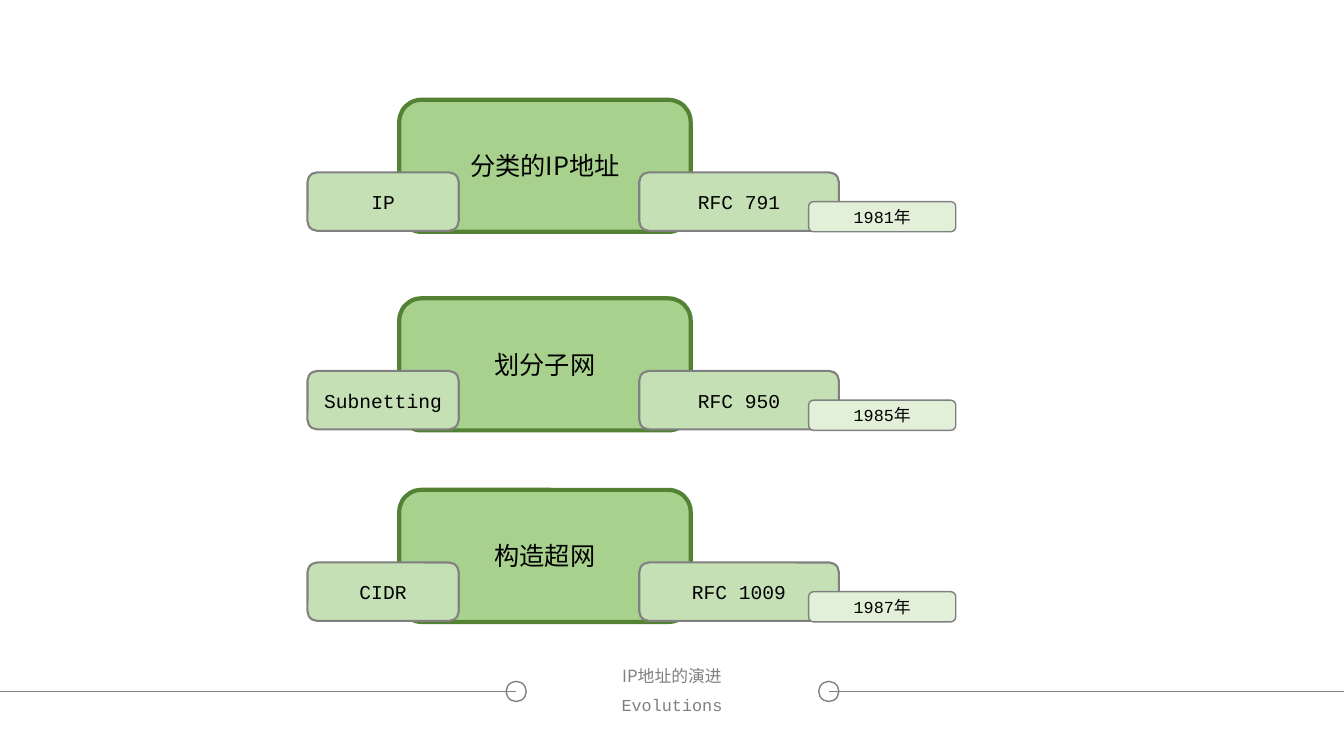
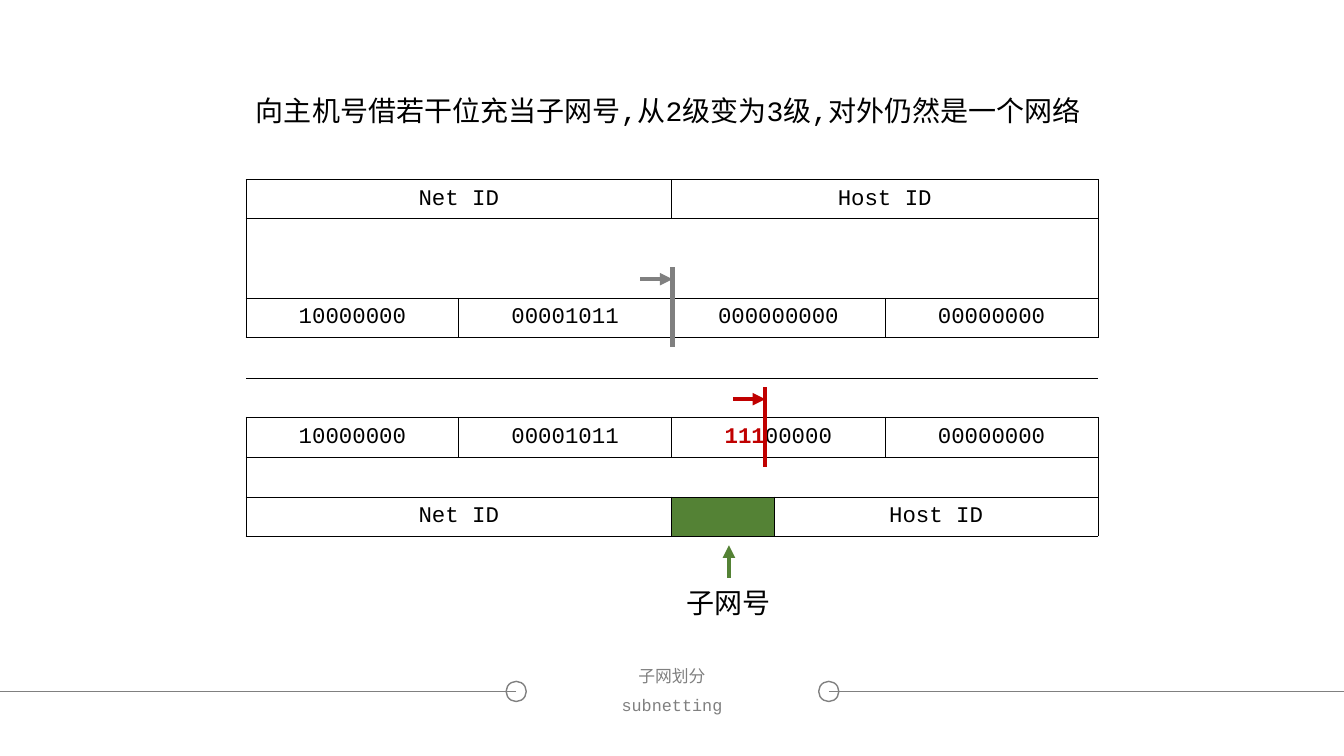
from lxml import etree
from pptx import Presentation
from pptx.dml.color import RGBColor
from pptx.enum import shapes, text
from pptx.oxml import ns
from pptx.util import Pt

PX = 9144
BLACK = RGBColor(0x00, 0x00, 0x00)
GRAY = RGBColor(0x80, 0x80, 0x80)
RED = RGBColor(0xC0, 0x00, 0x00)
GREEN_DARK = RGBColor(0x54, 0x82, 0x35)
GREEN = RGBColor(0xA9, 0xD1, 0x8E)
GREEN_LIGHT = RGBColor(0xC5, 0xE0, 0xB4)
GREEN_PALE = RGBColor(0xE2, 0xF0, 0xD9)
MONO = "Courier New"
SANS = "Noto Sans CJK SC"
PLAIN_TABLE = "{2D5ABB26-0587-4C30-8999-92F81FD0307C}"


def write(frame, words, size=16, font=MONO, color=BLACK, bold=False,
          align=text.PP_ALIGN.CENTER, anchor=text.MSO_ANCHOR.MIDDLE):
    frame.vertical_anchor = anchor
    frame.word_wrap = True
    para = frame.paragraphs[0]
    para.alignment = align
    span = para.add_run()
    span.text = words
    span.font.size = Pt(size)
    span.font.bold = bold
    span.font.color.rgb = color
    span.font.name = font
    east = etree.SubElement(span.font._element, ns.qn("a:ea"))
    east.set("typeface", SANS)


def draw_line(page, ends, color, width, arrow=False):
    line = page.shapes.add_connector(
        shapes.MSO_CONNECTOR.STRAIGHT, *[end * PX for end in ends])
    line.line.color.rgb = color
    line.line.width = Pt(width)
    if arrow:
        head = etree.SubElement(line.line._get_or_add_ln(), ns.qn("a:tailEnd"))
        head.set("type", "triangle")
    etree.SubElement(line._element.spPr, ns.qn("a:effectLst"))


deck = Presentation()
deck.slide_width = 1333 * PX
deck.slide_height = 750 * PX

captions = [("IP地址的演进", "Evolutions"), ("子网划分", "subnetting")]
pages = []
for chinese, english in captions:
    page = deck.slides.add_slide(deck.slide_layouts[5])
    pages.append(page)
    for center, edge in ((822, 1333), (512, 0)):
        ring = page.shapes.add_shape(
            shapes.MSO_SHAPE.OVAL, (center - 10) * PX, 676 * PX, 20 * PX, 20 * PX)
        ring.shadow.inherit = False
        ring.fill.background()
        ring.line.color.rgb = GRAY
        ring.line.width = Pt(1)
        draw_line(page, (center, 686, edge, 686), GRAY, 0.5)

    title = page.shapes.title
    title.left, title.top, title.width, title.height = (
        521 * PX, 658 * PX, 291 * PX, 28 * PX)
    subtitle = page.shapes.add_textbox(521 * PX, 687 * PX, 291 * PX, 27 * PX)
    for box, words, font in ((title, chinese, SANS), (subtitle, english, MONO)):
        frame = box.text_frame
        frame.auto_size = text.MSO_AUTO_SIZE.NONE
        frame.margin_left = frame.margin_right = 0
        frame.margin_top = frame.margin_bottom = 4 * PX
        write(frame, words, size=12, font=font, color=GRAY)
        frame.paragraphs[0].line_spacing = 0.9

evolution, subnetting = pages

stages = [
    (99, "分类的IP地址", "RFC 791", "1981年", "IP"),
    (296, "划分子网", "RFC 950", "1985年", "Subnetting"),
    (486, "构造超网", "RFC 1009", "1987年", "CIDR"),
]
panels = [
    (396, 0, 289, 131, GREEN, GREEN_DARK, 3, 18, SANS),
    (634, 72, 198, 58, GREEN_LIGHT, GRAY, 1.5, 14, MONO),
    (802, 101, 146, 30, GREEN_PALE, GRAY, 1, 12, MONO),
    (305, 72, 150, 58, GREEN_LIGHT, GRAY, 1.5, 14, MONO),
]
for top, *labels in stages:
    for label, panel in zip(labels, panels):
        left, drop, width, height, fill, outline, weight, size, font = panel
        box = evolution.shapes.add_shape(
            shapes.MSO_SHAPE.ROUNDED_RECTANGLE,
            left * PX, (top + drop) * PX, width * PX, height * PX)
        box.shadow.inherit = False
        box.fill.solid()
        box.fill.fore_color.rgb = fill
        box.line.color.rgb = outline
        box.line.width = Pt(weight)
        write(box.text_frame, label, size=size, font=font)

lead = subnetting.shapes.add_textbox(244 * PX, 88 * PX, 845 * PX, 44 * PX)
write(lead.text_frame, "向主机号借若干位充当子网号,从2级变为3级,对外仍然是一个网络",
      size=20, align=text.PP_ALIGN.LEFT, anchor=text.MSO_ANCHOR.TOP)

column_widths = [211, 211, 102, 110, 211]
row_heights = [39, 79, 39, 40, 39, 40, 39, 39]
table = subnetting.shapes.add_table(
    len(row_heights), len(column_widths), 244 * PX, 178 * PX,
    sum(column_widths) * PX, sum(row_heights) * PX).table
table.first_row = table.horz_banding = False
table._tbl.tblPr.find(ns.qn("a:tableStyleId")).text = PLAIN_TABLE
for column, width in zip(table.columns, column_widths):
    column.width = width * PX
for row, height in zip(table.rows, row_heights):
    row.height = height * PX

gap_sides = {3: ["lnT"], 4: ["lnB"]}
for row in range(len(row_heights)):
    for column in range(len(column_widths)):
        cell = table.cell(row, column)
        cell.margin_top = cell.margin_bottom = 0
        properties = cell._tc.get_or_add_tcPr()
        for side in gap_sides.get(row, ["lnL", "lnR", "lnT", "lnB"]):
            border = etree.SubElement(properties, ns.qn("a:" + side), w=str(Pt(0.5)))
            fill = etree.SubElement(border, ns.qn("a:solidFill"))
            etree.SubElement(fill, ns.qn("a:srgbClr"), val=str(BLACK))
        cell.fill.background()

bytes_spans = [(0, 0), (1, 1), (2, 3), (4, 4)]
row_spans = [
    [(0, 1), (2, 4)], [(0, 4)], bytes_spans, bytes_spans,
    bytes_spans, bytes_spans, [(0, 4)], [(0, 1), (2, 2), (3, 4)],
]
row_words = {
    0: ["Net ID", "Host ID"],
    2: ["10000000", "00001011", "000000000", "00000000"],
    5: ["10000000", "00001011", "", "00000000"],
    7: ["Net ID", "", "Host ID"],
}
for row, spans in enumerate(row_spans):
    for first, last in spans:
        if last > first:
            table.cell(row, first).merge(table.cell(row, last))
    for (first, last), words in zip(spans, row_words.get(row, [])):
        if words:
            cell = table.cell(row, first)
            write(cell.text_frame, words)
            cell.vertical_anchor = text.MSO_ANCHOR.MIDDLE

borrowed = table.cell(5, 2)
write(borrowed.text_frame, "111", color=RED, bold=True)
write(borrowed.text_frame, "00000")
borrowed.vertical_anchor = text.MSO_ANCHOR.MIDDLE
subnet = table.cell(7, 2)
subnet.fill.solid()
subnet.fill.fore_color.rgb = GREEN_DARK

for x, top, color in ((667, 265, GRAY), (759, 384, RED)):
    draw_line(subnetting, (x, top, x, top + 79), color, 3)
    draw_line(subnetting, (x - 32, top + 12, x, top + 12), color, 3, arrow=True)
draw_line(subnetting, (723, 573, 723, 541), GREEN_DARK, 3, arrow=True)

label = subnetting.shapes.add_textbox(663 * PX, 576 * PX, 120 * PX, 44 * PX)
write(label.text_frame, "子网号", size=20, anchor=text.MSO_ANCHOR.TOP)

deck.save("out.pptx")
